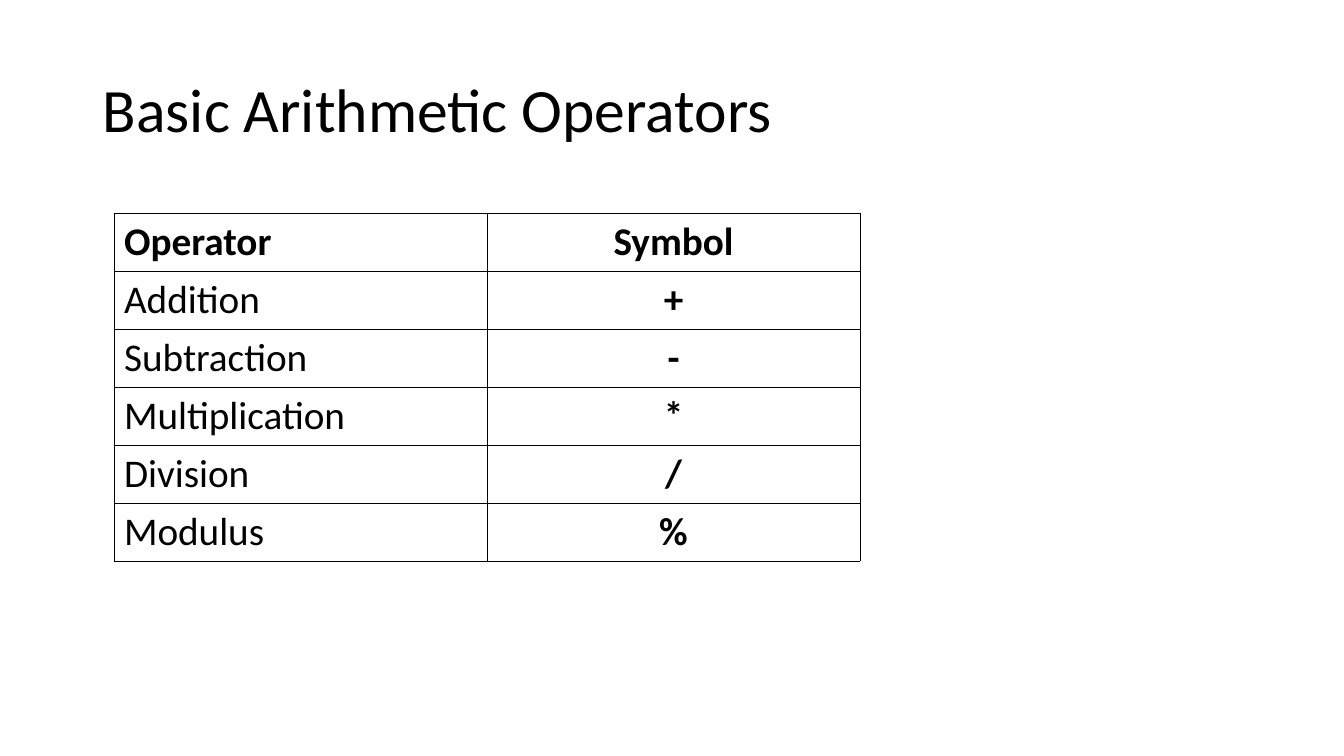
import lxml.etree
import pptx
import pptx.dml.color
import pptx.enum.text
import pptx.oxml.ns
import pptx.util

EMU_PER_PX = 914400 / 100.8
ALIGN = pptx.enum.text.PP_ALIGN
ANCHOR = pptx.enum.text.MSO_ANCHOR


def px(length):
    """Turn whole pixels into EMU."""
    return pptx.util.Emu(round(length * EMU_PER_PX))


def color(value):
    """Turn a hex string into a colour."""
    return pptx.dml.color.RGBColor.from_string(value)


class SlideBuilder:
    """Hold the style and the current slide."""

    font_name = "Calibri"
    ink = "000000"
    paper = "FFFFFF"
    border_width = pptx.util.Pt(0.5)

    def __init__(self, slide):
        """Set the slide and its background."""
        self.slide = slide
        slide.background.fill.solid()
        slide.background.fill.fore_color.rgb = color(self.paper)

    def add_text(self, frame, text, size, bold=False, **paragraph_format):
        """Put one formatted paragraph into a text frame."""
        paragraph = frame.paragraphs[0]
        for name, value in paragraph_format.items():
            setattr(paragraph, name, value)
        run = paragraph.add_run()
        run.text = text
        font_format = {"name": self.font_name, "size": pptx.util.Pt(size), "bold": bold}
        for name, value in font_format.items():
            setattr(run.font, name, value)
        run.font.color.rgb = color(self.ink)

    def title(self, text, left, top, width, height):
        """Add the slide title."""
        shape = self.slide.shapes.add_textbox(px(left), px(top), px(width), px(height))
        frame = shape.text_frame
        frame_format = {"word_wrap": True, "vertical_anchor": ANCHOR.MIDDLE}
        for name, value in frame_format.items():
            setattr(frame, name, value)
        self.add_text(frame, text, 44, line_spacing=0.9)

    def border(self, cell):
        """Draw a thin line on every side of a cell."""
        properties = cell._tc.get_or_add_tcPr()
        for index, side in enumerate(("a:lnL", "a:lnR", "a:lnT", "a:lnB")):
            line = lxml.etree.Element(pptx.oxml.ns.qn(side), w=str(int(self.border_width)))
            fill = lxml.etree.SubElement(line, pptx.oxml.ns.qn("a:solidFill"))
            lxml.etree.SubElement(fill, pptx.oxml.ns.qn("a:srgbClr"), val=self.ink)
            properties.insert(index, line)

    def table(self, rows, left, top, column_width, row_height):
        """Add a bordered table with a bold header and a bold centred second column."""
        row_count, column_count = len(rows), len(rows[0])
        table = self.slide.shapes.add_table(
            row_count, column_count, px(left), px(top),
            px(column_width * column_count), px(row_height * row_count)).table
        table.horz_banding = False
        for row_index, row in enumerate(rows):
            table.rows[row_index].height = px(row_height)
            for column_index, text in enumerate(row):
                cell = table.cell(row_index, column_index)
                cell.fill.solid()
                cell.fill.fore_color.rgb = color(self.paper)
                self.border(cell)
                self.add_text(cell.text_frame, text, 28,
                              bold=row_index == 0 or column_index == 1,
                              alignment=ALIGN.CENTER if column_index else ALIGN.LEFT)


def main():
    """Build and save the presentation."""
    presentation = pptx.Presentation()
    presentation.slide_width, presentation.slide_height = px(1344), px(756)
    builder = SlideBuilder(presentation.slides.add_slide(presentation.slide_layouts[6]))
    builder.title("Basic Arithmetic Operators", 93, 40, 1159, 146)
    operators = [
        ("Operator", "Symbol"),
        ("Addition", "+"),
        ("Subtraction", "-"),
        ("Multiplication", "*"),
        ("Division", "/"),
        ("Modulus", "%"),
    ]
    builder.table(operators, left=114, top=213, column_width=373, row_height=58)
    presentation.save("out.pptx")


if __name__ == "__main__":
    main()
